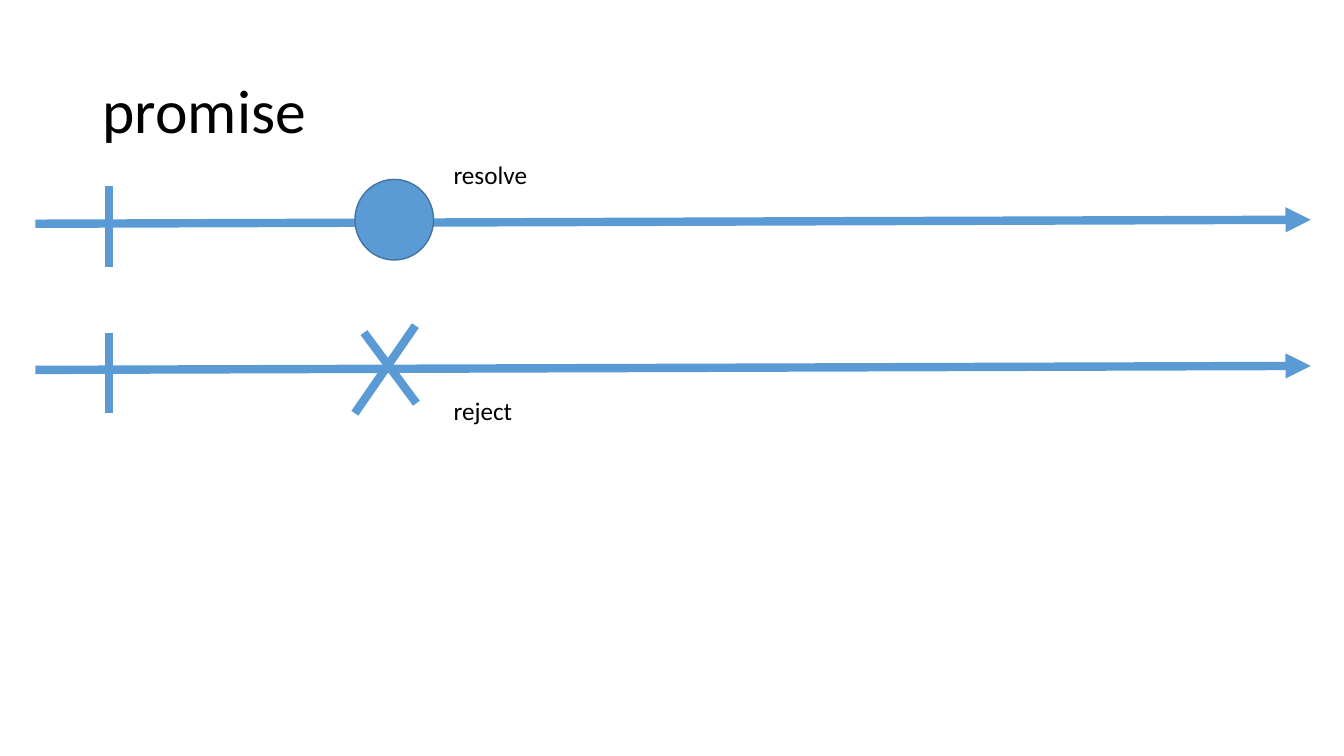
from lxml import etree
from pptx import Presentation, util as u
from pptx.dml.color import RGBColor
from pptx.enum import shapes, text
from pptx.oxml.ns import qn

WIDTH, HEIGHT = 13.33, 7.5
FONT = "Calibri"
COLORS = {"line": "5B9BD5", "outline": "43739E", "text": "000000"}
TITLE = ("promise", (0.92, 0.4, 11.5, 1.45), 44)
LABELS = [
    ("resolve", (4.4, 1.53, 0.94, 0.4), 18),
    ("reject", (4.4, 3.87, 0.79, 0.4), 18),
]
FIRST_ROW, ROW_STEP = 1.85, 1.45
AXIS = ((0.35, 0.37), (13, 0.33))
TICK = ((1.08, 0), (1.08, 0.8))
CROSS = [((3.61, 0), (4.13, 0.7)), ((4.12, -0.07), (3.52, 0.8))]
RESOLVED = (3.52, -0.07, 0.78, 0.8)
OUTCOMES = ["resolved", "rejected"]


def color(name):
    return RGBColor.from_string(COLORS[name])


def add_line(page, ends, top, arrow=False):
    (x1, y1), (x2, y2) = ends
    points = [u.Inches(n) for n in (x1, top + y1, x2, top + y2)]
    line = page.shapes.add_connector(shapes.MSO_CONNECTOR.STRAIGHT, *points)
    line.line.color.rgb = color("line")
    line.line.width = u.Pt(6)
    if arrow:
        outline = line.line._get_or_add_ln()
        etree.SubElement(outline, qn("a:tailEnd"), type="triangle")
    etree.SubElement(line._element.spPr, qn("a:effectLst"))


def add_circle(page, place, top):
    left, offset, width, height = place
    frame = [u.Inches(n) for n in (left, top + offset, width, height)]
    circle = page.shapes.add_shape(shapes.MSO_SHAPE.OVAL, *frame)
    circle.shadow.inherit = False
    circle.fill.solid()
    circle.fill.fore_color.rgb = color("line")
    circle.line.color.rgb = color("outline")
    circle.line.width = u.Pt(1)


def add_text(page, words, place, size):
    box = page.shapes.add_textbox(*[u.Inches(n) for n in place])
    frame = box.text_frame
    para = frame.paragraphs[0]
    span = para.add_run()
    span.text = words
    span.font.name = FONT
    span.font.size = u.Pt(size)
    span.font.color.rgb = color("text")
    return frame


def main():
    deck = Presentation()
    deck.slide_width, deck.slide_height = u.Inches(WIDTH), u.Inches(HEIGHT)
    page = deck.slides.add_slide(deck.slide_layouts[6])

    title = add_text(page, *TITLE)
    title.word_wrap = True
    title.vertical_anchor = text.MSO_ANCHOR.MIDDLE
    title.paragraphs[0].line_spacing = 0.9

    for row, outcome in enumerate(OUTCOMES):
        top = FIRST_ROW + row * ROW_STEP
        add_line(page, AXIS, top, arrow=True)
        add_line(page, TICK, top)
        if outcome == "resolved":
            add_circle(page, RESOLVED, top)
        else:
            for stroke in CROSS:
                add_line(page, stroke, top)

    for label in LABELS:
        frame = add_text(page, *label)
        frame.word_wrap = False
        frame.auto_size = text.MSO_AUTO_SIZE.SHAPE_TO_FIT_TEXT

    deck.save("out.pptx")


if __name__ == "__main__":
    main()
